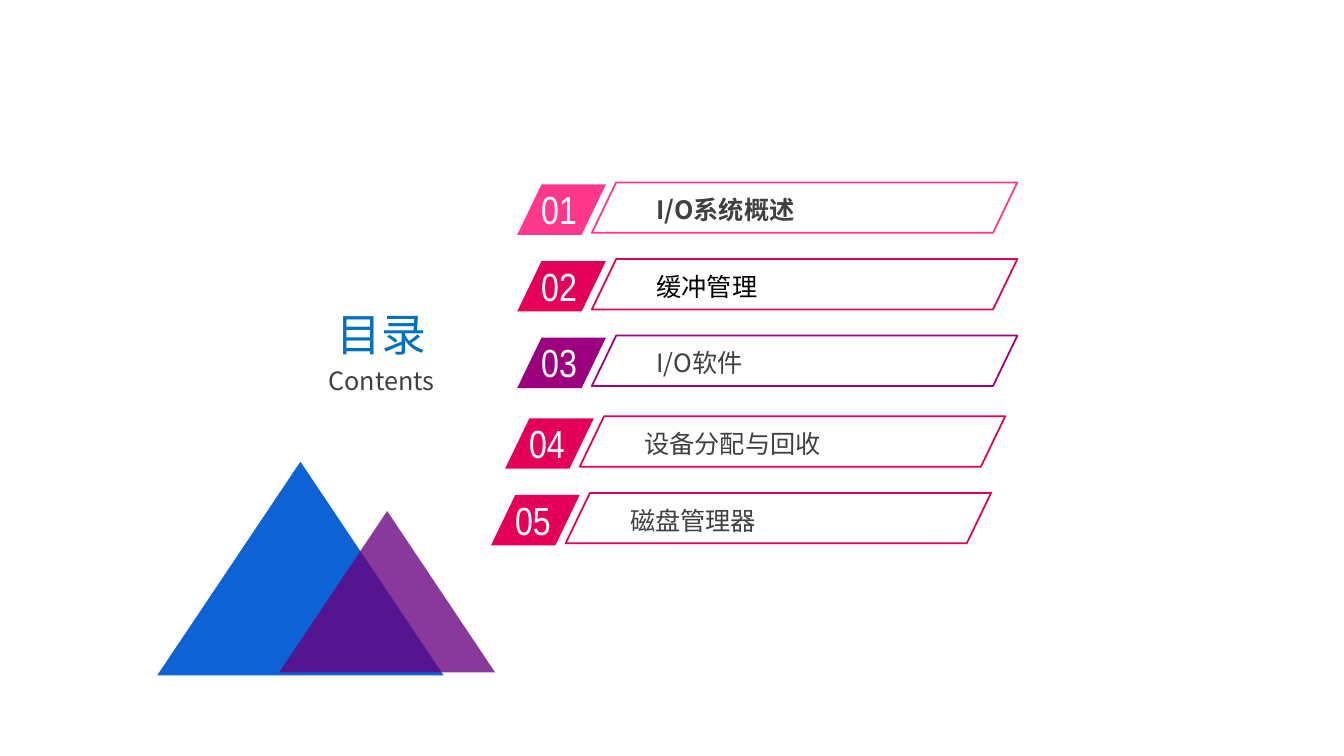
"""Build a contents slide with five numbered entries and two triangles."""
from dataclasses import dataclass

from lxml import etree
from pptx import Presentation
from pptx.dml.color import RGBColor
from pptx.enum.shapes import MSO_SHAPE as SHAPE
from pptx.enum.text import MSO_ANCHOR as ANCHOR, MSO_AUTO_SIZE as AUTO_SIZE, PP_ALIGN as ALIGN
from pptx.oxml.ns import qn
from pptx.util import Inches, Pt


@dataclass(frozen=True)
class Theme:
    text_font: str = "Noto Sans CJK SC"
    number_font: str = "Arial Narrow"
    title_size: int = 32
    number_size: int = 28
    text_size: int = 18
    line_width: float = 1.25
    title: str = "0070C0"
    text: str = "404040"
    black: str = "000000"
    white: str = "FFFFFF"
    pink: str = "FF388C"
    red: str = "E40059"
    purple: str = "9C007F"
    blue: str = "005BD3"
    violet: str = "68007F"


THEME = Theme()
SLANT = 0.482
ENTRIES = [
    ("I/O系统概述", 5.13, 1.83, THEME.pink, THEME.text, True),
    ("缓冲管理", 5.13, 2.59, THEME.red, THEME.black, False),
    ("I/O软件", 5.13, 3.35, THEME.purple, THEME.text, False),
    ("设备分配与回收", 5.01, 4.15, THEME.red, THEME.text, False),
    ("磁盘管理器", 4.87, 4.91, THEME.red, THEME.text, False),
]


def add_run(p, text, size, color, font, bold=False):
    r = p.add_run()
    r.text = text
    r.font.size = Pt(size)
    r.font.bold = bold
    r.font.name = font
    r.font.color.rgb = RGBColor.from_string(color)
    r.font._element.find(qn("a:latin")).addnext(
        etree.Element(qn("a:ea"), typeface=font))


def add_text_frame(shapes, left, top, width, height):
    sp = shapes.add_textbox(Inches(left), Inches(top), Inches(width), Inches(height))
    tf = sp.text_frame
    tf.word_wrap = True
    return tf


def add_preset(shapes, kind, left, top, width, height, fill=None, line=None, alpha=None):
    sp = shapes.add_shape(kind, Inches(left), Inches(top), Inches(width), Inches(height))
    sp.shadow.inherit = False
    if fill:
        sp.fill.solid()
        sp.fill.fore_color.rgb = RGBColor.from_string(fill)
    else:
        sp.fill.background()
    if line:
        sp.line.color.rgb = RGBColor.from_string(line)
        sp.line.width = Pt(THEME.line_width)
    else:
        sp.line.fill.background()
    if alpha:
        color = sp._element.spPr.find(qn("a:solidFill"))[0]
        etree.SubElement(color, qn("a:alpha"), val=str(alpha * 1000))
    return sp


def add_heading(shapes):
    tf = add_text_frame(shapes, 2.55, 3.21, 2.47, 0.54)
    tf.vertical_anchor = ANCHOR.MIDDLE
    lines = [("目录", THEME.title_size, THEME.title),
             ("Contents", THEME.text_size, THEME.text)]
    for i, (text, size, color) in enumerate(lines):
        p = tf.add_paragraph() if i else tf.paragraphs[0]
        p.alignment = ALIGN.CENTER
        p.space_before = Pt(size * 0.2)
        add_run(p, text, size, color, THEME.text_font)


def add_number(slide, number, left, top, color):
    shapes = slide.shapes.add_group_shape().shapes
    chip = add_preset(shapes, SHAPE.PARALLELOGRAM, left, top, 0.88, 0.5, fill=color)
    chip.adjustments[0] = SLANT
    tf = add_text_frame(shapes, left + 0.14, top - 0.04, 0.84, 0.57)
    tf.auto_size = AUTO_SIZE.SHAPE_TO_FIT_TEXT
    add_run(tf.paragraphs[0], f"{number:02d}", THEME.number_size,
            THEME.white, THEME.number_font)


def add_label(slide, text, left, top, line, color, bold):
    shapes = slide.shapes.add_group_shape().shapes
    tf = add_text_frame(shapes, left + 0.57, top + 0.08, 3.09, 0.38)
    tf.auto_size = AUTO_SIZE.SHAPE_TO_FIT_TEXT
    tf.margin_left = tf.margin_right = Inches(0.07)
    tf.margin_top = tf.margin_bottom = Inches(0.04)
    add_run(tf.paragraphs[0], text, THEME.text_size, color, THEME.text_font, bold)
    bar = add_preset(shapes, SHAPE.PARALLELOGRAM, left, top, 4.22, 0.5, line=line)
    bar.adjustments[0] = SLANT


def main():
    prs = Presentation()
    prs.slide_width, prs.slide_height = Inches(13.33), Inches(7.5)
    slide = prs.slides.add_slide(prs.slide_layouts[6])
    add_heading(slide.shapes)
    add_preset(slide.shapes, SHAPE.ISOSCELES_TRIANGLE, 1.56, 4.58, 2.84, 2.12,
               fill=THEME.blue, alpha=95)
    add_preset(slide.shapes, SHAPE.ISOSCELES_TRIANGLE, 2.77, 5.07, 2.14, 1.6,
               fill=THEME.violet, alpha=78)
    for number, (text, left, top, accent, color, bold) in enumerate(ENTRIES, 1):
        add_number(slide, number, left, top, accent)
        add_label(slide, text, left + 0.74, top - 0.02, accent, color, bold)
    prs.save("out.pptx")


if __name__ == "__main__":
    main()
